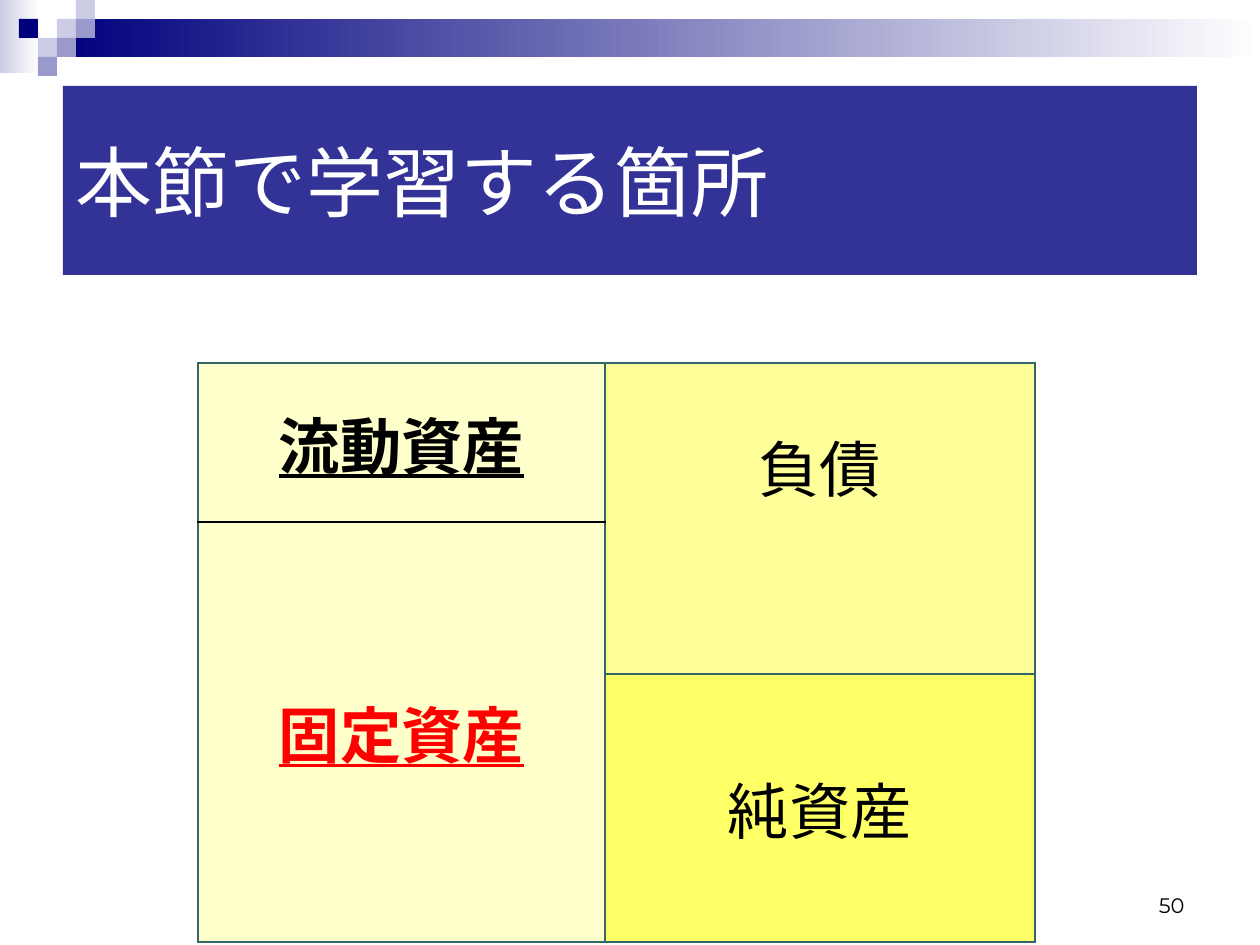
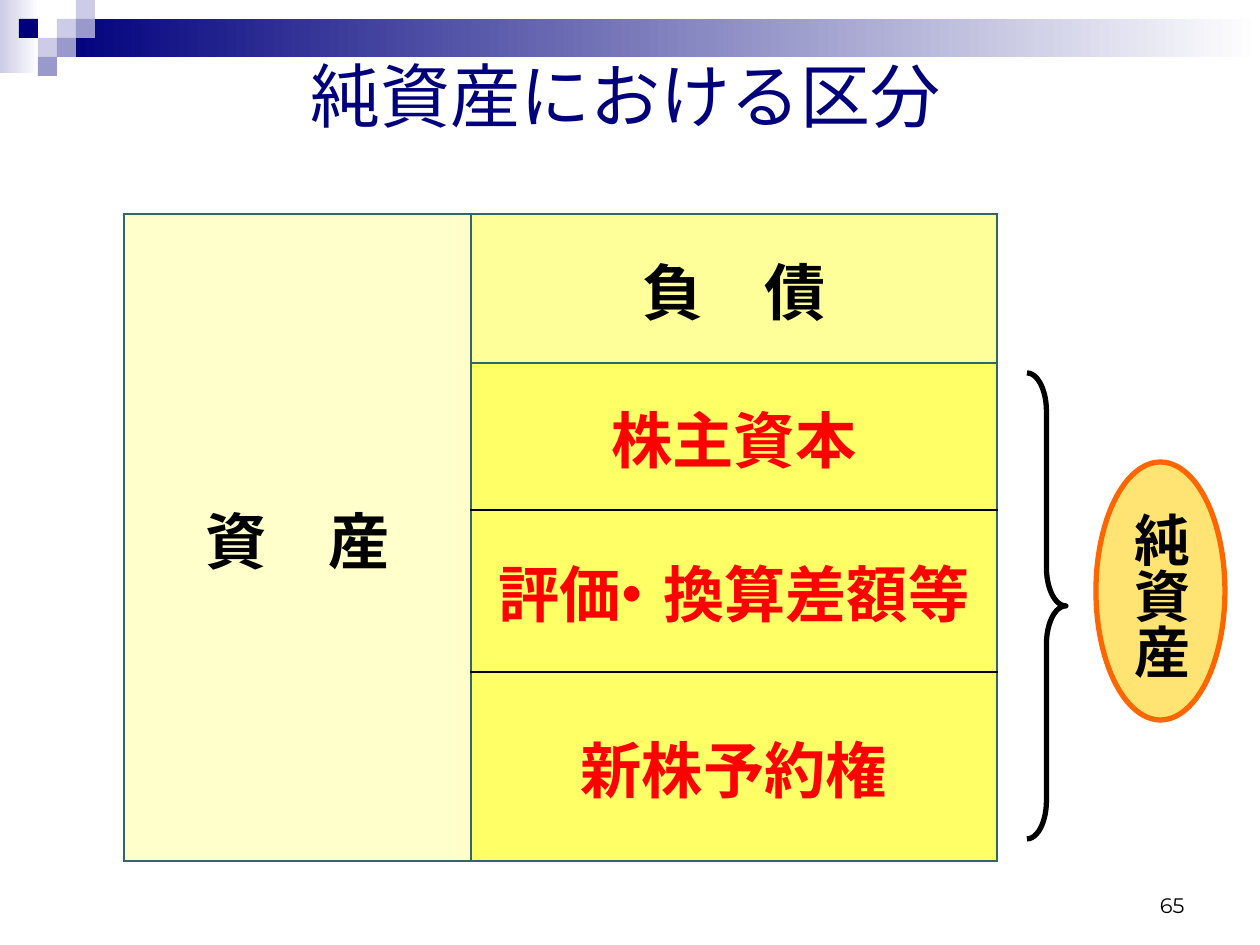
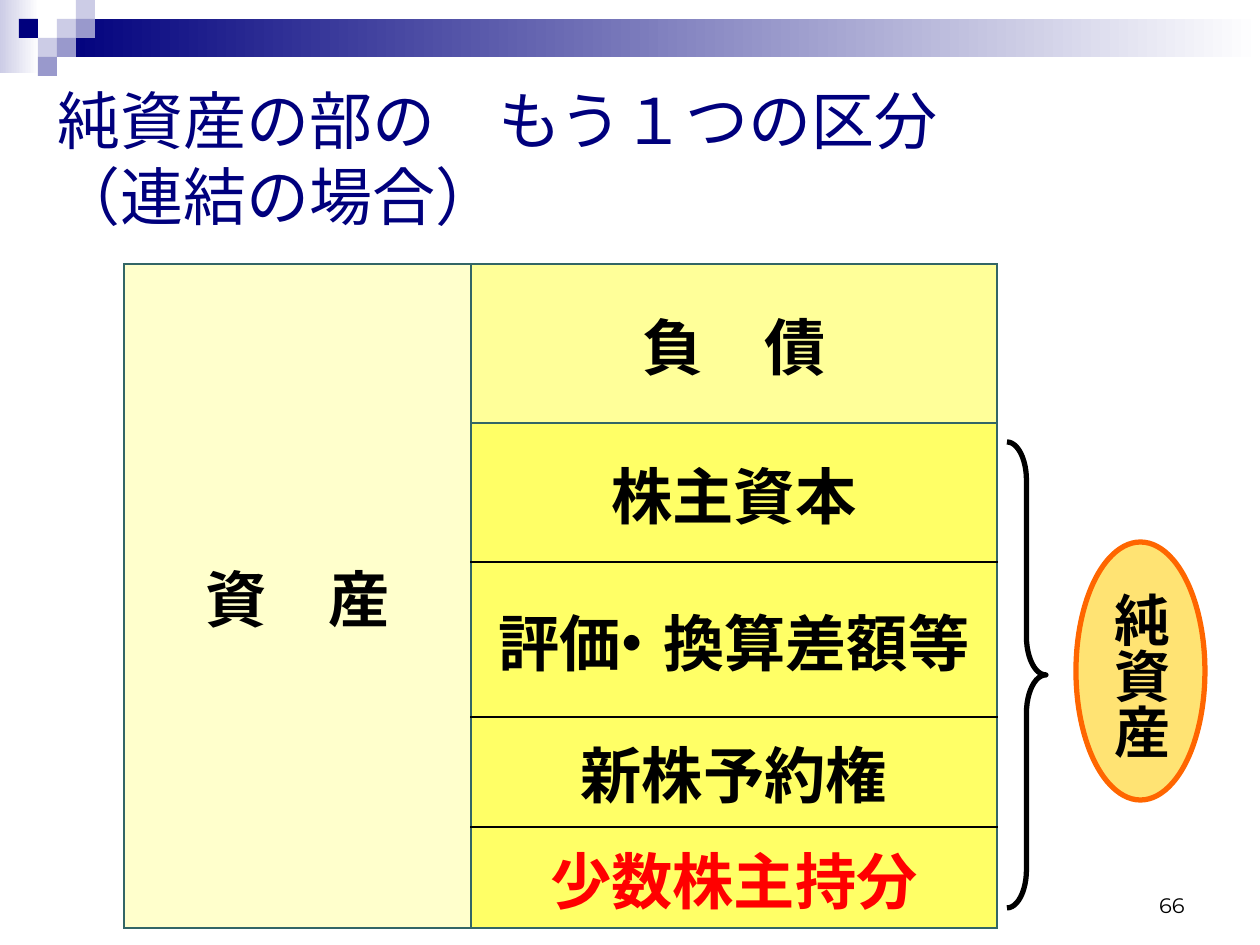
import dataclasses

import lxml.etree
import pptx
import pptx.dml.color
import pptx.enum.shapes
import pptx.enum.text
import pptx.oxml.ns
import pptx.util

PX = 914400 / 126
NAVY, LILAC, MAUVE = "00007D", "CCCCE6", "9999CC"
WHITE, BLACK, RED, TEAL = "FFFFFF", "000000", "FF0000", "336666"
ASSETS, DEBTS, EQUITY = "FFFFCC", "FFFF99", "FFFF66"
GOLD, ORANGE = "FFCC00", "FF6600"
SHAPE = pptx.enum.shapes.MSO_SHAPE
ALIGN = pptx.enum.text.PP_ALIGN
ANCHOR = pptx.enum.text.MSO_ANCHOR
qn = pptx.oxml.ns.qn


@dataclasses.dataclass
class Block:
    text: str
    fill: str
    rows: int = 1
    color: str = BLACK
    bold: bool = True
    underline: bool = False
    drop: int = 0


def px(n):
    return round(n * PX)


def rgb(color):
    return pptx.dml.color.RGBColor.from_string(color)


def sub(parent, tag, **attrs):
    return lxml.etree.SubElement(parent, qn(tag), attrs)


def write(tf, text, size, color=BLACK, align=ALIGN.LEFT, anchor=ANCHOR.MIDDLE,
          font="Arial", bold=False):
    tf.word_wrap = True
    tf.vertical_anchor = anchor
    p = tf.paragraphs[0]
    p.text = text
    p.alignment = align
    p.line_spacing = pptx.util.Pt(round(size * 1.2))
    p.font.name = font
    p.font.size = pptx.util.Pt(size)
    p.font.bold = bold
    p.font.color.rgb = rgb(color)
    props = p._p.get_or_add_pPr().get_or_add_defRPr()
    props.set("lang", "ja-JP")
    sub(props, "a:ea", typeface=font)
    return p


def tighten_dot(p):
    dot = p.text.find("・")
    if dot < 1:
        return
    parts = p.text[:dot - 1], p.text[dot - 1:dot + 1], p.text[dot + 1:]
    p.clear()
    for part in parts:
        r = p.add_run()
        r.text = part
        if "・" in part:
            r._r.get_or_add_rPr().set("spc", "-1090")


def add_shape(s, kind, box, fill=None, opacity=100, line=None):
    sp = s.shapes.add_shape(kind, *map(px, box))
    sp.shadow.inherit = False
    if fill:
        sp.fill.solid()
        sp.fill.fore_color.rgb = rgb(fill)
        if opacity < 100:
            color = sp._element.spPr.find(qn("a:solidFill"))[0]
            sub(color, "a:alpha", val=str(opacity * 1000))
    else:
        sp.fill.background()
    if line:
        sp.line.color.rgb = rgb(line)
        sp.line.width = pptx.util.Pt(3)
    else:
        sp.line.fill.background()
    return sp


def add_fade(s, box, color):
    sp = add_shape(s, SHAPE.RECTANGLE, box)
    sp.fill.gradient()
    sp.fill.gradient_angle = 0
    for stop, c in zip(sp.fill.gradient_stops, (color, WHITE)):
        stop.color.rgb = rgb(c)


def add_text(s, box, text, size, **style):
    tb = s.shapes.add_textbox(*map(px, box))
    write(tb.text_frame, text, size, **style)


def add_header(s, tile=19):
    add_fade(s, (0, 0, 39, 73), LILAC)
    add_fade(s, (3 * tile, tile, 1260 - 3 * tile, 2 * tile), NAVY)
    mosaic = {LILAC: [(3, 1), (4, 0), (2, 2)],
              MAUVE: [(4, 1), (3, 2), (2, 3)],
              NAVY: [(1, 1)]}
    for color, cells in mosaic.items():
        for col, row in cells:
            add_shape(s, SHAPE.RECTANGLE, (col * tile, row * tile, tile, tile), color)


def new_slide(prs, number):
    s = prs.slides.add_slide(prs.slide_layouts[6])
    add_header(s)
    add_text(s, (903, 861, 294, 63), str(number), 12, align=ALIGN.RIGHT,
             anchor=ANCHOR.BOTTOM, font="Montserrat")
    return s


def set_borders(cell, **sides):
    props = cell._tc.get_or_add_tcPr()
    for i, (side, color) in enumerate(sides.items()):
        ln = lxml.etree.Element(qn(f"a:ln{side}"), w="12700")
        if color:
            sub(sub(ln, "a:solidFill"), "a:srgbClr", val=color)
        else:
            sub(ln, "a:noFill")
        props.insert(i, ln)


def fill_column(table, col, blocks):
    row = 0
    for i, block in enumerate(blocks):
        last = row + block.rows - 1
        cell = table.cell(row, col)
        if block.rows > 1:
            cell.merge(table.cell(last, col))
        p = write(cell.text_frame, block.text, 35, block.color, ALIGN.CENTER, bold=block.bold)
        tighten_dot(p)
        p.font.underline = block.underline
        p.space_before = pptx.util.Pt(7)
        cell.vertical_anchor = ANCHOR.TOP if block.drop else ANCHOR.MIDDLE
        cell.margin_bottom = 0
        if block.drop:
            cell.margin_top = px(block.drop)
        above = blocks[i - 1].fill if i else None
        below = blocks[i + 1].fill if i + 1 < len(blocks) else None
        top, bottom = (BLACK if f == block.fill else TEAL for f in (above, below))
        for r in range(row, last + 1):
            part = table.cell(r, col)
            part.fill.solid()
            part.fill.fore_color.rgb = rgb(block.fill)
            set_borders(part, L=TEAL, R=TEAL, T=top, B=bottom)
        row = last + 1


def clear_margin(table, col, last, left, right):
    table.cell(0, col).merge(table.cell(last, col))
    for r in range(last + 1):
        cell = table.cell(r, col)
        cell.fill.background()
        set_borders(cell, L=left, R=right, T=None, B=None)


def add_balance_sheet(s, x, y, widths, heights, left, right):
    box = (x, y, sum(widths), sum(heights))
    table = s.shapes.add_table(len(heights), len(widths), *map(px, box)).table
    table.first_row = table.horz_banding = False
    for column, w in zip(table.columns, widths):
        column.width = px(w)
    for row, h in zip(table.rows, heights):
        row.height = px(h)
    last = len(heights) - 1
    clear_margin(table, 0, last, None, TEAL)
    fill_column(table, 1, left)
    fill_column(table, 2, right)
    clear_margin(table, 3, last, TEAL, None)


def add_net_assets(s, x, y, oval_drop):
    brace = add_shape(s, SHAPE.RIGHT_BRACE, (x, y, 39, 466), line=BLACK)
    brace.adjustments[0] = 0.98
    brace.adjustments[1] = 0.5
    oval = add_shape(s, SHAPE.OVAL, (x + 69, y + oval_drop, 129, 258), GOLD, 55, ORANGE)
    tf = oval.text_frame
    write(tf, "純資産", 32, align=ALIGN.CENTER, bold=True)
    tf.word_wrap = False
    tf._txBody.bodyPr.set("vert", "eaVert")


def add_equity_sheet(s, y, heights, names, highlighted):
    equity = [Block(n, EQUITY, color=RED if n in highlighted else BLACK) for n in names]
    add_balance_sheet(s, 54, y, (70, 347, 526, 169), heights,
                      [Block("資　産", ASSETS, rows=len(heights))],
                      [Block("負　債", DEBTS)] + equity)


def build_section(prs):
    s = new_slide(prs, 50)
    add_balance_sheet(
        s, -30, 363, (228, 407, 430, 224), (159, 152, 268),
        [Block("流動資産", ASSETS, underline=True),
         Block("固定資産", ASSETS, rows=2, color=RED, underline=True)],
        [Block("負債", DEBTS, rows=2, bold=False, drop=69),
         Block("純資産", EQUITY, bold=False)])
    band = add_shape(s, SHAPE.RECTANGLE, (63, 86, 1134, 189), NAVY, 80)
    write(band.text_frame, "本節で学習する箇所", 44, WHITE)


def build_equity(prs, names):
    s = new_slide(prs, 65)
    add_text(s, (25, 16, 1201, 157), "純資産における区分", 40, color=NAVY, align=ALIGN.CENTER)
    add_equity_sheet(s, 214, (149, 147, 162, 189), names, names)
    add_net_assets(s, 1027, 373, 89)


def build_consolidated(prs, names):
    s = new_slide(prs, 66)
    add_text(s, (45, 63, 1153, 189), "純資産の部の　もう１つの区分\n（連結の場合）", 36, color=NAVY)
    minority = "少数株主持分"
    add_equity_sheet(s, 264, (159, 139, 155, 110, 101), names + [minority], [minority])
    add_net_assets(s, 1007, 442, 100)


def main():
    prs = pptx.Presentation()
    prs.slide_width, prs.slide_height = px(1260), px(945)
    names = ["株主資本", "評価・換算差額等", "新株予約権"]
    build_section(prs)
    build_equity(prs, names)
    build_consolidated(prs, names)
    prs.save("out.pptx")


if __name__ == "__main__":
    main()
